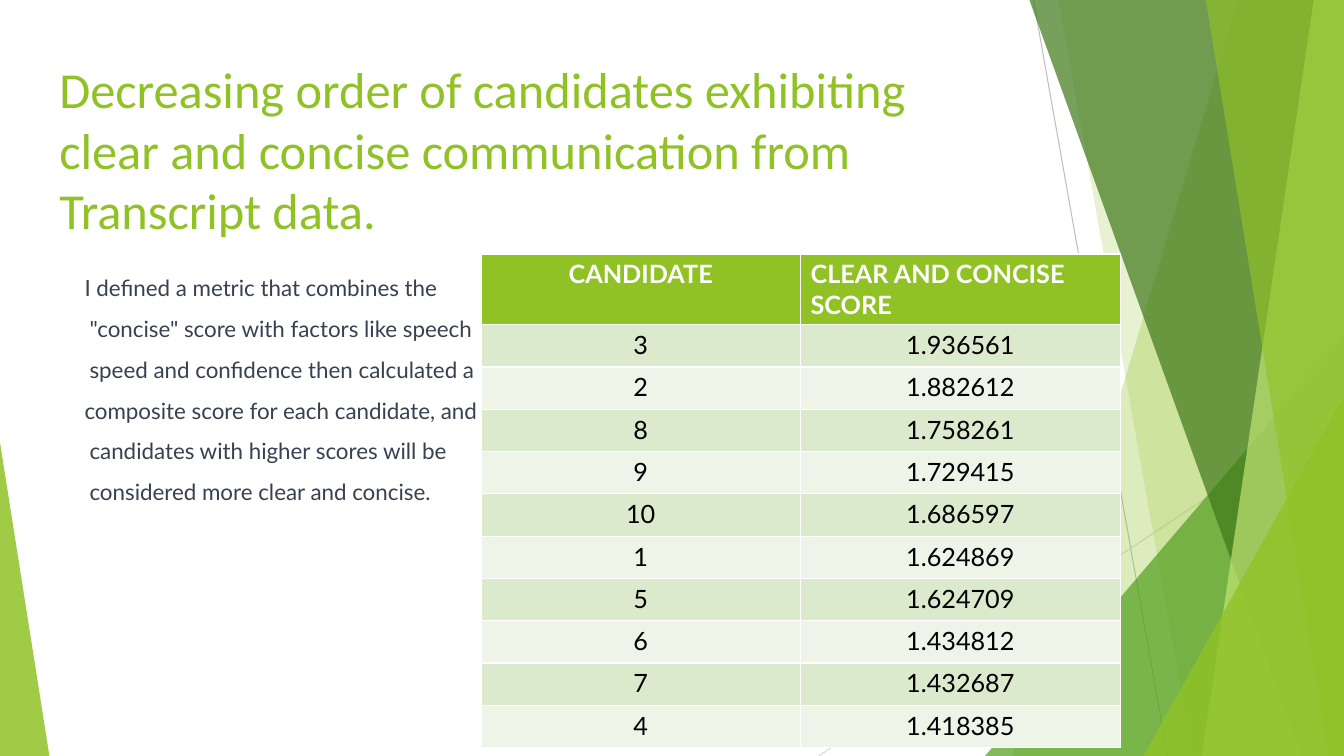
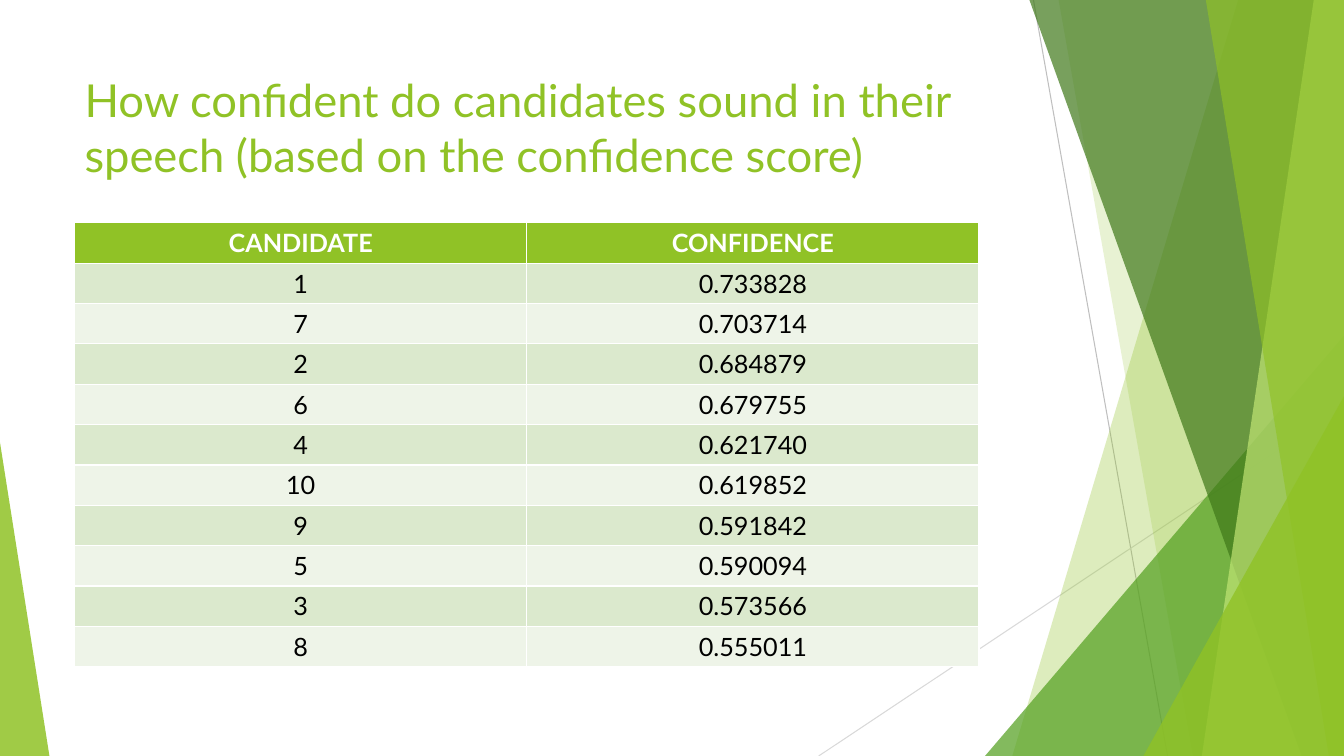
from lxml import etree
from pptx import Presentation
from pptx.dml.color import RGBColor
from pptx.enum import shapes, text
from pptx.oxml.ns import qn
from pptx.util import Inches, Pt

WIDTH, HEIGHT = 13.33, 7.5

LIME = RGBColor(0x90, 0xC2, 0x26)
PALE_LIME = RGBColor(0xC0, 0xE4, 0x74)
GREEN = RGBColor(0x54, 0xA0, 0x21)
DARK_GREEN = RGBColor(0x3F, 0x78, 0x19)
ROW_ODD = RGBColor(0xDB, 0xE9, 0xCD)
ROW_EVEN = RGBColor(0xEE, 0xF4, 0xE8)
SLATE = RGBColor(0x37, 0x41, 0x51)
GRAY = RGBColor(0xBF, 0xBF, 0xBF)
LIGHT_GRAY = RGBColor(0xD9, 0xD9, 0xD9)
WHITE = RGBColor(0xFF, 0xFF, 0xFF)
BLACK = RGBColor(0, 0, 0)

LEFT, CENTER = text.PP_ALIGN.LEFT, text.PP_ALIGN.CENTER


class Deck:
    """Holds the presentation, its style and the slide being built."""

    font = "Lato"

    def __init__(self):
        self.prs = Presentation()
        self.prs.slide_width = Inches(WIDTH)
        self.prs.slide_height = Inches(HEIGHT)
        self.s = None

    def new_slide(self):
        self.s = self.prs.slides.add_slide(self.prs.slide_layouts[6])
        self.line(10.25, 0, 11.58, HEIGHT, GRAY)
        self.line(WIDTH, 4.03, 8.12, HEIGHT, LIGHT_GRAY)
        self.band(12.28, 10.04, LIME, 30)
        self.band(10.5, 11.83, LIME, 20)
        self.triangle(9.77, 3.33, 3.56, 1, GREEN, 72)
        self.band(10.21, 12.91, DARK_GREEN, 70)
        self.band(13.03, 11.92, PALE_LIME, 70)
        self.band(11.96, 13.18, LIME, 65)
        self.triangle(11.34, 3.93, 1.99, 1, LIME, 80)
        self.triangle(0, 4.39, 0.49, 0, LIME, 85)

    def line(self, x1, y1, x2, y2, color):
        c = self.s.shapes.add_connector(
            shapes.MSO_CONNECTOR.STRAIGHT,
            Inches(x1), Inches(y1), Inches(x2), Inches(y2))
        c.line.color.rgb = color
        c.line.width = Pt(0.75)
        etree.SubElement(c.element.spPr, qn("a:effectLst"))

    def paint(self, sp, color, opacity):
        """Fill a borderless shape, with opacity in percent."""
        sp.shadow.inherit = False
        sp.line.fill.background()
        sp.fill.solid()
        sp.fill.fore_color.rgb = color
        clr = sp.element.spPr.find(".//" + qn("a:srgbClr"))
        etree.SubElement(clr, qn("a:alpha"), val=str(opacity * 1000))

    def band(self, top_x, bottom_x, color, opacity):
        """Full-height band from a slanted left edge to the slide's right edge."""
        builder = self.s.shapes.build_freeform(Inches(top_x), 0)
        corners = [(WIDTH, 0), (WIDTH, HEIGHT), (bottom_x, HEIGHT)]
        builder.add_line_segments([(Inches(x), Inches(y)) for x, y in corners])
        self.paint(builder.convert_to_shape(), color, opacity)

    def triangle(self, x, y, w, apex, color, opacity):
        """Triangle standing on the slide's bottom edge."""
        sp = self.s.shapes.add_shape(
            shapes.MSO_SHAPE.ISOSCELES_TRIANGLE,
            Inches(x), Inches(y), Inches(w), Inches(HEIGHT - y))
        sp.adjustments[0] = apex
        self.paint(sp, color, opacity)

    def style(self, p, size, color, font=None, bold=False):
        p.font.name = font or self.font
        p.font.size = Pt(size)
        p.font.color.rgb = color
        p.font.bold = bold

    def text_frame(self, x, y, w, h):
        tf = self.s.shapes.add_textbox(
            Inches(x), Inches(y), Inches(w), Inches(h)).text_frame
        tf.word_wrap = True
        return tf

    def title(self, words, x, y, w, h, size, font=None):
        p = self.text_frame(x, y, w, h).paragraphs[0]
        p.text = words
        self.style(p, size, LIME, font)

    def body(self, lines, x, y, w, h):
        """Write (words, indent) pairs, one paragraph each."""
        tf = self.text_frame(x, y, w, h)
        for i, (words, indent) in enumerate(lines):
            p = tf.add_paragraph() if i else tf.paragraphs[0]
            p.text = words
            p.space_before = Pt(10)
            p._p.get_or_add_pPr().set("marL", str(Inches(indent)))
            self.style(p, 16, SLATE)

    def table(self, header, rows, x, y, w, header_h, row_h, last_align=CENTER):
        """Banded two-column table; last_align places the last heading."""
        height = header_h + row_h * len(rows)
        tbl = self.s.shapes.add_table(
            len(rows) + 1, len(header),
            Inches(x), Inches(y), Inches(w), Inches(height)).table
        for i, values in enumerate([header] + rows):
            tbl.rows[i].height = Inches(row_h if i else header_h)
            fill = (ROW_ODD if i % 2 else ROW_EVEN) if i else LIME
            for j, value in enumerate(values):
                cell = tbl.cell(i, j)
                cell.fill.solid()
                cell.fill.fore_color.rgb = fill
                p = cell.text_frame.paragraphs[0]
                p.text = value
                p.alignment = CENTER if i or j == 0 else last_align
                self.style(p, 18, BLACK if i else WHITE, bold=i == 0)


CLARITY = [
    ("3", "1.936561"), ("2", "1.882612"), ("8", "1.758261"),
    ("9", "1.729415"), ("10", "1.686597"), ("1", "1.624869"),
    ("5", "1.624709"), ("6", "1.434812"), ("7", "1.432687"),
    ("4", "1.418385"),
]

CONFIDENCE = [
    ("1", "0.733828"), ("7", "0.703714"), ("2", "0.684879"),
    ("6", "0.679755"), ("4", "0.621740"), ("10", "0.619852"),
    ("9", "0.591842"), ("5", "0.590094"), ("3", "0.573566"),
    ("8", "0.555011"),
]

METRIC = [
    ("I defined a metric that combines the", 0),
    ("\"concise\" score with factors like speech", 0.05),
    ("speed and confidence then calculated a", 0.05),
    ("composite score for each candidate, and", 0),
    ("candidates with higher scores will be", 0.05),
    ("considered more clear and concise.", 0.05),
]


def main():
    deck = Deck()

    deck.new_slide()
    deck.title("Decreasing order of candidates exhibiting clear and concise "
               "communication from Transcript data.",
               0.49, 0.53, 9.65, 1.93, 36, "Calibri")
    deck.body(METRIC, 0.74, 2.67, 9.4, 4.6)
    deck.table(("CANDIDATE", "CLEAR AND CONCISE SCORE"), CLARITY,
               4.77, 2.52, 6.34, 0.7, 0.42, last_align=LEFT)

    deck.new_slide()
    deck.title("How confident do candidates sound in their speech "
               "(based on the confidence score)",
               0.74, 0.67, 9.4, 1.44, 32.4)
    deck.table(("CANDIDATE", "CONFIDENCE"), CONFIDENCE,
               0.74, 2.21, 8.97, 0.4, 0.4)

    deck.prs.save("out.pptx")


if __name__ == "__main__":
    main()
